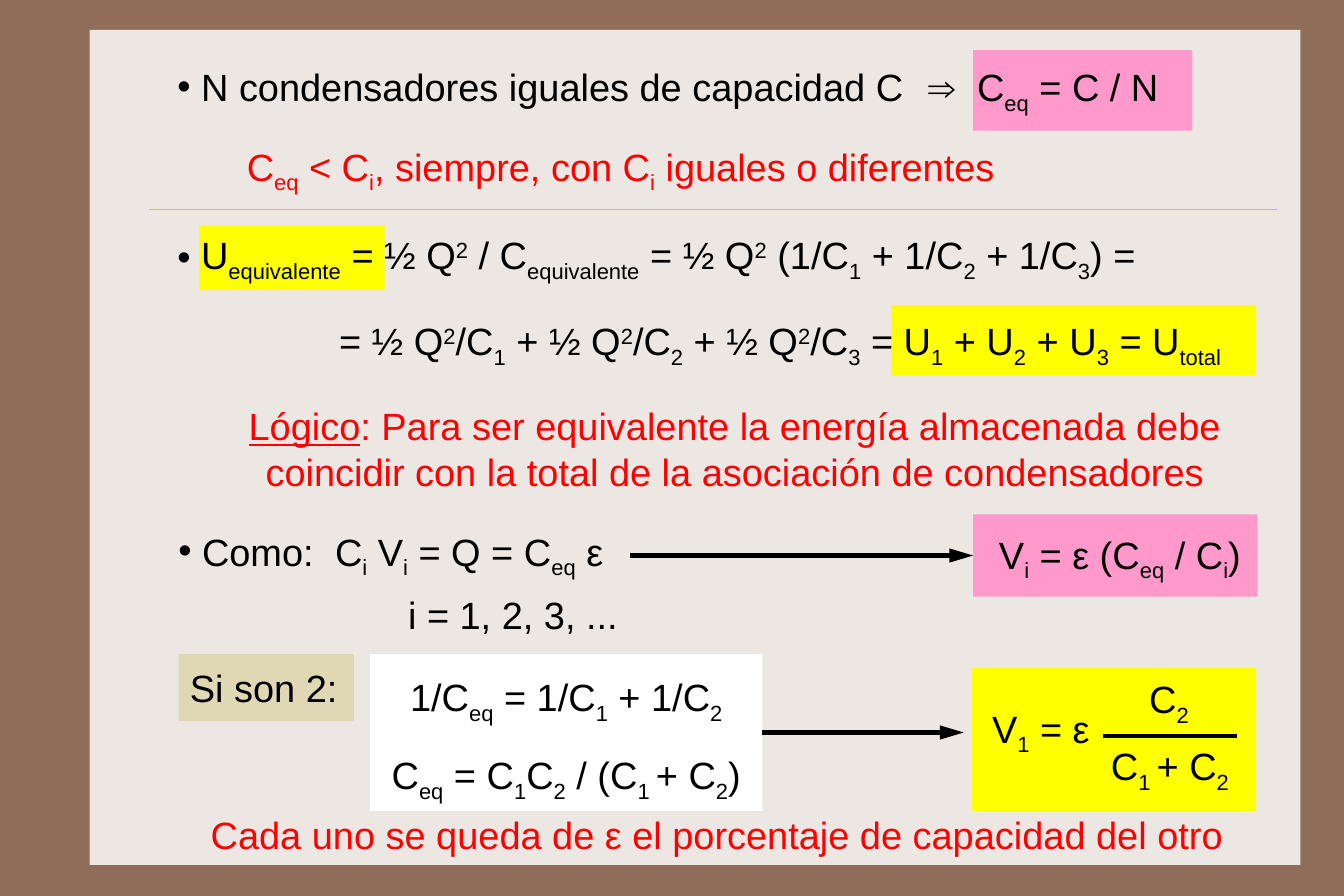
from dataclasses import dataclass, field

from lxml import etree
from pptx import Presentation
from pptx.dml.color import RGBColor
from pptx.enum.shapes import MSO_CONNECTOR, MSO_SHAPE
from pptx.enum.text import MSO_ANCHOR, MSO_AUTO_SIZE, PP_ALIGN
from pptx.oxml.ns import qn
from pptx.shapes.autoshape import Shape
from pptx.shapes.connector import Connector
from pptx.slide import Slide
from pptx.util import Cm, Pt

RECT = MSO_SHAPE.RECTANGLE
LINE = MSO_CONNECTOR.STRAIGHT
TOP, MIDDLE = MSO_ANCHOR.TOP, MSO_ANCHOR.MIDDLE
LEFT, CENTER = PP_ALIGN.LEFT, PP_ALIGN.CENTER
GROW, FIXED = MSO_AUTO_SIZE.SHAPE_TO_FIT_TEXT, MSO_AUTO_SIZE.NONE

FONT, SIZE = "Arial", Pt(24)
HANG = Cm(0.53)
RIGHT_SIDE, LEFT_SIDE = 3, 1
SHIFT = {"_": "-25000", "^": "30000"}
COLORS = {
    "frame": "906D58", "panel": "EDE7E3", "rule": "CBBD83",
    "black": "000000", "red": "FF0000", "white": "FFFFFF",
    "yellow": "FFFF00", "pink": "FF99CC", "sand": "E0D7B5",
}


@dataclass(frozen=True)
class Block:
    left: float
    top: float
    width: float
    height: float
    text: str = ""
    fill: str = ""
    look: dict = field(default_factory=dict)


@dataclass(frozen=True)
class Stroke:
    start: float
    end: float
    y: float
    weight: float
    ink: str = "black"
    arrow: bool = False
    source: str = ""
    target: str = ""


TIGHT = {"wrap": False}
FIT = {"wrap": False, "fit": GROW}
POINT = {"bullet": True}
NOTE = {"ink": "red", "align": CENTER, "fit": GROW}
PART = {"align": CENTER, "anchor": MIDDLE, "fit": GROW, "pad": (0.15, 0.23, 0.15, 0.23)}
PAIR = {"align": CENTER, "anchor": MIDDLE, "fit": GROW, "pad": (0.05, 0.1, 0.05, 0.4),
        "spacing": 1.5}

PANELS = {
    "page": Block(2, 0.67, 27.03, 18.64, fill="panel"),
    "sum": Block(19.89, 6.81, 8.15, 1.57, fill="yellow"),
    "energy": Block(4.45, 5.03, 4.14, 1.45, fill="yellow"),
    "equal": Block(21.72, 1.12, 4.9, 1.8, fill="pink"),
    "volts": Block(21.72, 11.48, 6.35, 1.84, fill="pink"),
    "share": Block(21.69, 14.91, 6.35, 3.2, fill="yellow"),
    "case": Block(3.99, 14.6, 3.91, 1.5, "Si son 2:", "sand", {"fit": GROW}),
    "pair": Block(8.26, 14.6, 8.76, 3.5,
                  "1/C|_eq| = 1/C|_1| + 1/C|_2|\n"
                  "C|_eq| = C|_1|C|_2| / (C|_1 |+ C|_2|)", "white", PAIR),
}

# Marked parts stand between bars: _ lowers, ^ raises, u underlines.
TEXTS = [
    Block(3.71, 1.19, 17.6, 1.5, "N condensadores iguales de capacidad C", look=POINT),
    Block(20.47, 1.19, 1.3, 1.5, "⇒", look=FIT),
    Block(21.56, 1.19, 5.18, 1.5, "C|_eq| = C / N", look=FIT),
    Block(5.03, 2.97, 17.65, 1.5,
          "C|_eq| < C|_i|, siempre, con C|_i| iguales o diferentes", look=NOTE),
    Block(3.71, 4.95, 23, 1.5,
          "U|_equivalente| = ½ Q|^2| / C|_equivalente| = ½ Q|^2| "
          "(1/C|_1| + 1/C|_2| + 1/C|_3|) =", look=POINT),
    Block(7.32, 6.86, 17.32, 1.3,
          "= ½ Q|^2|/C|_1| + ½ Q|^2|/C|_2| + ½ Q|^2|/C|_3| = "
          "U|_1| + U|_2| + U|_3| = U|_total|", look=TIGHT),
    Block(4.93, 8.76, 22.94, 2.51,
          "|uLógico|: Para ser equivalente la energía almacenada debe "
          "coincidir con la total de la asociación de condensadores", look=NOTE),
    Block(3.73, 11.56, 4, 1.5, "Como:", look=POINT),
    Block(7.23, 11.56, 6.8, 1.5, "C|_i| V|_i| = Q = C|_eq| ε", look=FIT),
    Block(8.86, 12.98, 4.39, 1.3, "i = 1, 2, 3, ...", look=TIGHT),
    Block(22.05, 11.63, 6.05, 1.5, "V|_i| = ε (C|_eq| / C|_i|)", look=FIT),
    Block(21.51, 15.57, 3.45, 1.5, "V|_1| = ε", look=PART),
    Block(24.26, 16.41, 3.71, 1.5, "C|_1 |+ C|_2", look=PART),
    Block(25.32, 14.91, 1.55, 1.5, "C|_2", look=PART),
    Block(4.01, 17.88, 23.98, 1.5,
          "Cada uno se queda de ε el porcentaje de capacidad del otro", look=NOTE),
]

STROKES = [
    Stroke(3.33, 28.5, 4.67, 0.25, "rule"),
    Stroke(14.07, 21.72, 12.4, 3, arrow=True, target="volts"),
    Stroke(17.02, 21.51, 16.35, 3, arrow=True, source="pair"),
    Stroke(24.61, 27.61, 16.43, 2),
]


def color(name: str) -> RGBColor:
    return RGBColor.from_string(COLORS[name])


def write(shape: Shape, text: str, *, ink: str = "black", align: PP_ALIGN = LEFT,
          anchor: MSO_ANCHOR = TOP, fit: MSO_AUTO_SIZE = FIXED, wrap: bool = True,
          bullet: bool = False, spacing: float = 1.0,
          pad: tuple[float, ...] = (0.25, 0.23, 0.25, 0.23)) -> None:
    """Fill a shape with marked text, one paragraph a line."""
    frame = shape.text_frame
    frame.word_wrap, frame.auto_size, frame.vertical_anchor = wrap, fit, anchor
    (frame.margin_left, frame.margin_top,
     frame.margin_right, frame.margin_bottom) = map(Cm, pad)
    for row, line in enumerate(text.split("\n")):
        para = frame.paragraphs[0] if row == 0 else frame.add_paragraph()
        para.alignment, para.line_spacing = align, spacing
        if bullet:
            props = para._p.get_or_add_pPr()
            props.set("marL", str(HANG))
            props.set("indent", str(-HANG))
            etree.SubElement(props, qn("a:buFont")).set("typeface", FONT)
            etree.SubElement(props, qn("a:buChar")).set("char", "•")
        para.font.name, para.font.size = FONT, SIZE
        for index, part in enumerate(line.split("|")):
            if not part:
                continue
            marked = index % 2 == 1
            run = para.add_run()
            run.text = part[1:] if marked else part
            run.font.name, run.font.size = FONT, SIZE
            run.font.color.rgb = color(ink)
            if marked and part[0] == "u":
                run.font.underline = True
            elif marked:
                run._r.get_or_add_rPr().set("baseline", SHIFT[part[0]])


def place(slide: Slide, block: Block) -> Shape:
    area = [Cm(n) for n in (block.left, block.top, block.width, block.height)]
    if block.fill:
        shape = slide.shapes.add_shape(RECT, *area)
        shape.shadow.inherit = False
        shape.fill.solid()
        shape.fill.fore_color.rgb = color(block.fill)
        shape.line.fill.background()
    else:
        shape = slide.shapes.add_textbox(*area)
    if block.text:
        write(shape, block.text, **block.look)
    return shape


def draw(slide: Slide, stroke: Stroke, panels: dict[str, Shape]) -> Connector:
    y = Cm(stroke.y)
    line = slide.shapes.add_connector(LINE, Cm(stroke.start), y, Cm(stroke.end), y)
    line.line.color.rgb = color(stroke.ink)
    line.line.width = Pt(stroke.weight)
    if stroke.arrow:
        tail = etree.SubElement(line.line._get_or_add_ln(), qn("a:tailEnd"))
        tail.set("type", "triangle")
        tail.set("len", "lg")
    etree.SubElement(line._element.spPr, qn("a:effectLst"))
    if stroke.source:
        line.begin_connect(panels[stroke.source], RIGHT_SIDE)
    if stroke.target:
        line.end_connect(panels[stroke.target], LEFT_SIDE)
    return line


def main() -> None:
    deck = Presentation()
    deck.slide_width, deck.slide_height = Cm(30), Cm(20)
    slide = deck.slides.add_slide(deck.slide_layouts[6])
    back = slide.background.fill
    back.solid()
    back.fore_color.rgb = color("frame")
    panels = {name: place(slide, block) for name, block in PANELS.items()}
    for stroke in STROKES:
        draw(slide, stroke, panels)
    for block in TEXTS:
        place(slide, block)
    deck.save("out.pptx")


if __name__ == "__main__":
    main()
